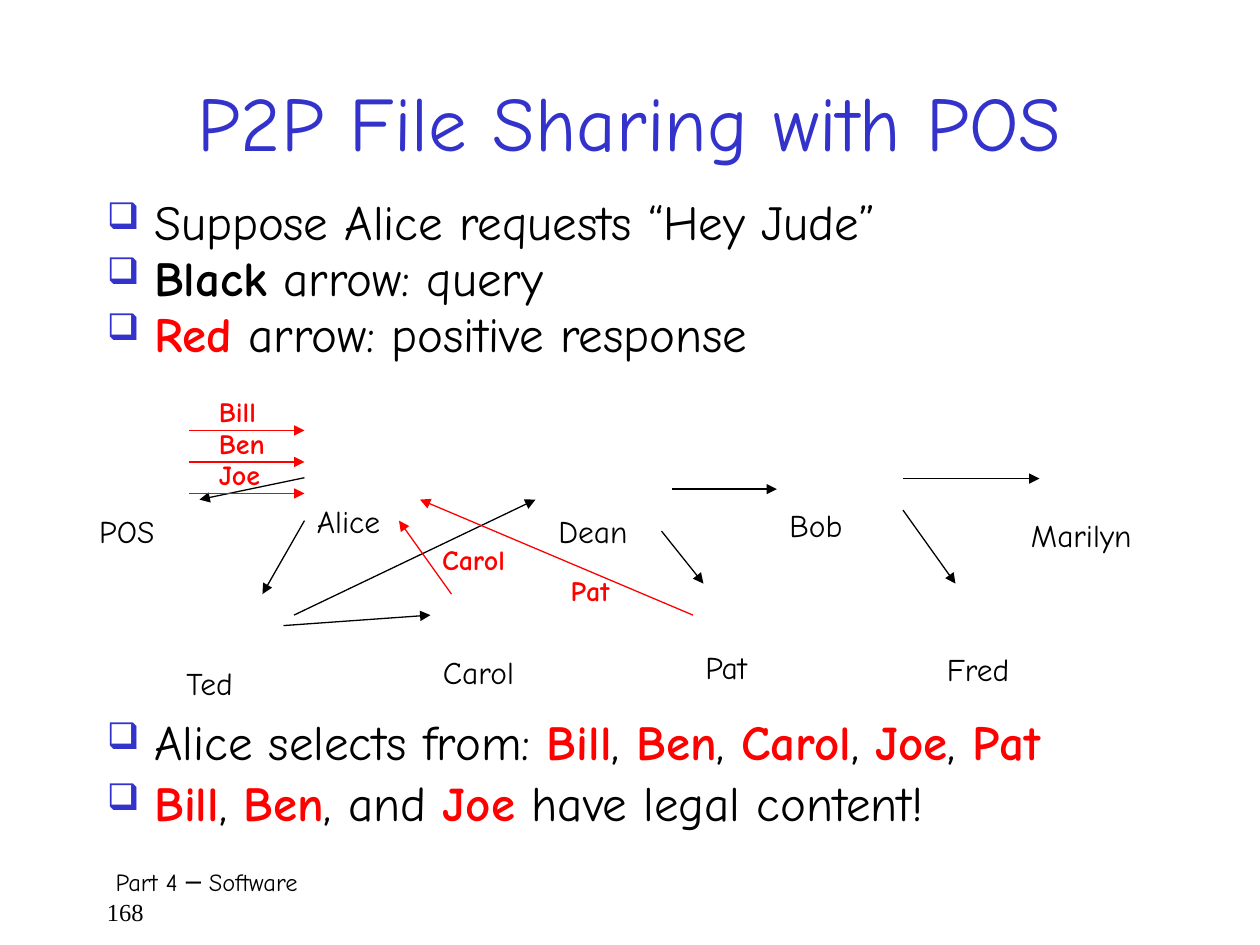
from pptx import Presentation
from pptx.util import Pt
from pptx.dml.color import RGBColor
from pptx.enum.shapes import MSO_CONNECTOR
from pptx.enum.text import MSO_ANCHOR, PP_ALIGN
from pptx.oxml.ns import qn
from lxml import etree

LINE = MSO_CONNECTOR.STRAIGHT
MID, TOP = MSO_ANCHOR.MIDDLE, MSO_ANCHOR.TOP
LEFT, CENTER = PP_ALIGN.LEFT, PP_ALIGN.CENTER
BLACK = RGBColor(0, 0, 0)
RED = RGBColor(0xFF, 0, 0)
BLUE = RGBColor(0x33, 0x33, 0xCC)
FONT, SERIF = "Comic Neue", "Times New Roman"

TITLE = "P2P File Sharing with POS"
FOOT = [("Part 4 ─ Software", FONT, 5), ("168", SERIF, 0)]

INTRO = [
    [("Suppose Alice requests “Hey Jude”", BLACK, False)],
    [("Black", BLACK, True), (" arrow: query", BLACK, False)],
    [("Red", RED, True), (" arrow: positive response", BLACK, False)],
]
RESULT = [
    [("Alice selects from: ", BLACK, False), ("Bill", RED, True),
     (", ", BLACK, False), ("Ben", RED, True),
     (", ", BLACK, False), ("Carol", RED, True),
     (", ", BLACK, False), ("Joe", RED, True),
     (", ", BLACK, False), ("Pat", RED, True)],
    [("Bill", RED, True), (", ", BLACK, False), ("Ben", RED, True),
     (", and ", BLACK, False), ("Joe", RED, True),
     (" have legal content!", BLACK, False)],
]
LISTS = [
    (INTRO, (54, 114, 618, 108), 0.75),
    (RESULT, (54, 408, 630, 78), 0.85),
]

PEERS = [
    ("Ted", 99.5, 376, 47),
    ("Carol", 246, 369.5, 58),
    ("Pat", 396, 367, 42),
    ("Marilyn", 582, 291.5, 77),
    ("Bob", 444, 285.5, 46),
    ("Alice", 174, 283.5, 57),
    ("Dean", 312, 289, 56),
    ("Fred", 534, 368, 55),
]
REPLIES = [
    ("Bill", 118, 222, 38),
    ("Ben", 118, 240, 42),
    ("Joe", 118, 258, 42),
    ("Carol", 245.5, 306.5, 54),
    ("Pat", 319, 324, 40),
]
QUERIES = [
    (174, 273, 114, 285.5),
    (174, 297.5, 150, 339.5),
    (162, 357.5, 246, 351.5),
    (168, 351.5, 306, 285.5),
    (384, 279.5, 444, 279.5),
    (378, 303.5, 402, 333.5),
    (516, 273.5, 594, 273.5),
    (516, 291.5, 546, 333.5),
]
ANSWERS = [(396, 351.5, 240, 285.5), (258, 339.5, 228, 297.5)]
ANSWERS += [(108, 246 + 18 * i, 174, 246 + 18 * i) for i in range(3)]


def add_box(slide, place, wrap=True, anchor=TOP):
    box = slide.shapes.add_textbox(*map(Pt, place))
    frame = box.text_frame
    frame.word_wrap = wrap
    frame.vertical_anchor = anchor
    return frame


def add_run(para, text, size, color, bold=False, face=FONT):
    run = para.add_run()
    run.text = text
    font = run.font
    font.size, font.bold, font.name = Pt(size), bold, face
    font.color.rgb = color


def add_label(slide, text, place, size, color, bold=False, align=LEFT):
    para = add_box(slide, place, False).paragraphs[0]
    para.alignment = align
    add_run(para, text, size, color, bold)
    return para


def add_bullet(para):
    props = para._p.get_or_add_pPr()
    props.set("marL", str(Pt(27)))
    props.set("indent", str(-Pt(27)))
    tint = etree.SubElement(props, qn("a:buClr"))
    etree.SubElement(tint, qn("a:srgbClr"), val=str(BLUE))
    etree.SubElement(props, qn("a:buSzPct"), val="75000")
    etree.SubElement(props, qn("a:buChar"), char="❑")


def add_list(slide, rows, place, space):
    frame = add_box(slide, place)
    for i, row in enumerate(rows):
        para = frame.add_paragraph() if i else frame.paragraphs[0]
        add_bullet(para)
        para.line_spacing = space
        para.space_before = Pt(6.5 if i else 0)
        for text, color, bold in row:
            add_run(para, text, 28, color, bold)


def add_arrow(slide, ends, color):
    arrow = slide.shapes.add_connector(LINE, *map(Pt, ends))
    arrow.line.color.rgb = color
    arrow.line.width = Pt(0.75)
    props = arrow._element.spPr
    etree.SubElement(props.find(qn("a:ln")), qn("a:tailEnd"), type="triangle")
    etree.SubElement(props, qn("a:effectLst"))


def main():
    deck = Presentation()
    deck.slide_width, deck.slide_height = Pt(720), Pt(540)
    slide = deck.slides.add_slide(deck.slide_layouts[6])

    foot = add_box(slide, (54, 492, 618, 36))
    for i, (text, face, inset) in enumerate(FOOT):
        para = foot.add_paragraph() if i else foot.paragraphs[0]
        para._p.get_or_add_pPr().set("marL", str(Pt(inset)))
        add_run(para, text, 14, BLACK, face=face)

    head = add_box(slide, (54, 36, 612, 66), anchor=MID).paragraphs[0]
    head.alignment = CENTER
    add_run(head, TITLE, 44, BLUE)

    for rows, place, space in LISTS:
        add_list(slide, rows, place, space)

    server = add_label(slide, "POS", (47.5, 293, 50, 27), 18, BLACK, align=CENTER)
    server.line_spacing = 0.8
    for name, x, y, w in PEERS:
        add_label(slide, name, (x, y, w, 32), 18, BLACK)
    for ends in QUERIES:
        add_arrow(slide, ends, BLACK)
    for ends in ANSWERS:
        add_arrow(slide, ends, RED)
    for name, x, y, w in REPLIES:
        add_label(slide, name, (x, y, w, 29.5), 16, RED, True)

    deck.save("out.pptx")


if __name__ == "__main__":
    main()
